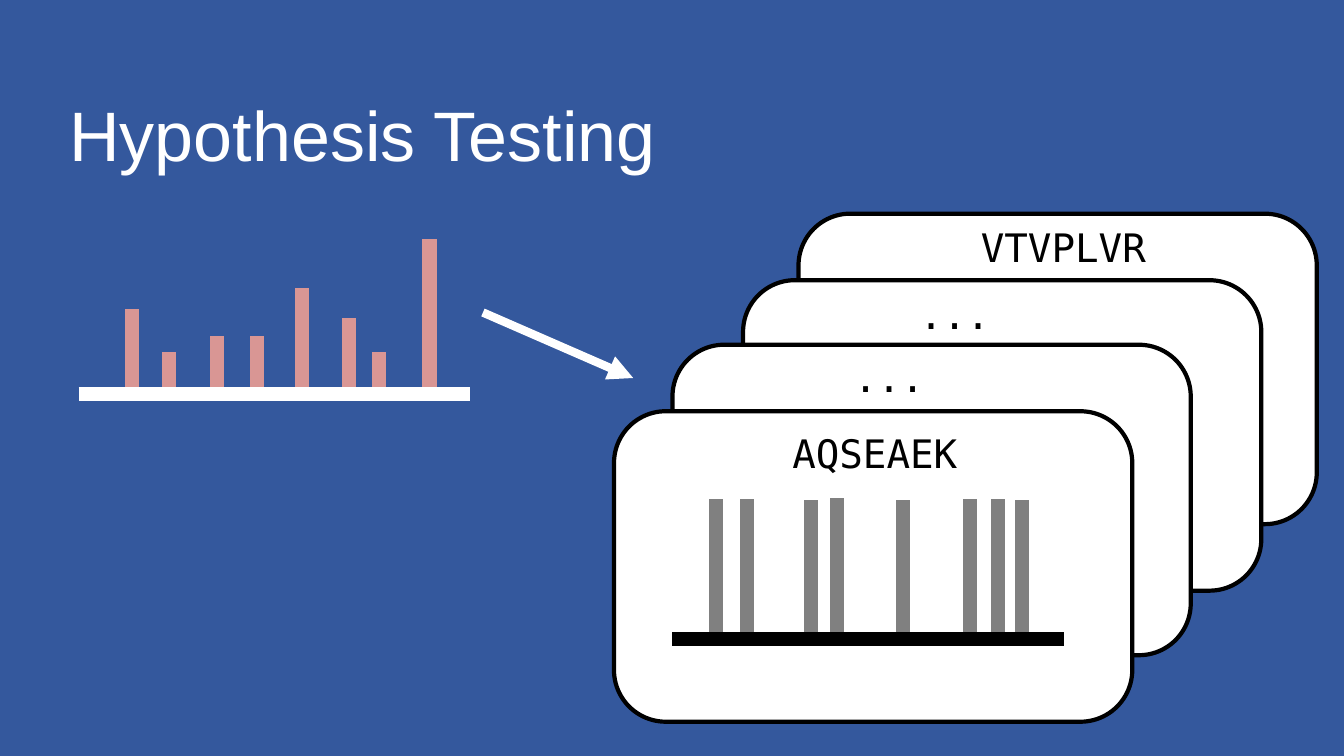
from dataclasses import dataclass

import pptx
import pptx.dml.color
import pptx.enum.shapes
import pptx.enum.text
import pptx.oxml.ns
import pptx.util
from lxml import etree
from pptx.util import Inches


@dataclass(frozen=True)
class Theme:
    background: str = "34589D"
    light: str = "FFFFFF"
    dark: str = "000000"
    observed: str = "D99694"
    predicted: str = "808080"
    title_font: str = "Arial"
    peptide_font: str = "DejaVu Sans Mono"
    title_size: int = 50
    peptide_size: int = 28
    peak_width: int = 10
    arrow_width: int = 6
    card_border: int = 3


THEME = Theme()
CARD_WIDTH, CARD_HEIGHT = 5.14, 3.08

# Candidate peptides, back to front: card left, card top, label left, top, width, text
CARDS = [
    (7.92, 2.12, 9.63, 2.17, 1.85, "VTVPLVR"),
    (7.37, 2.78, 9.02, 2.83, 0.91, "..."),
    (6.67, 3.42, 8.37, 3.46, 0.91, "..."),
    (6.09, 4.08, 7.76, 4.21, 1.85, "AQSEAEK"),
]

# Peaks: x position and top
OBSERVED_PEAKS = [(1.31, 3.07), (1.68, 3.49), (2.15, 3.33), (2.55, 3.33),
                  (3, 2.86), (3.46, 3.15), (3.76, 3.49), (4.26, 2.37)]
PREDICTED_PEAKS = [(7.1, 4.95), (7.41, 4.95), (8.04, 4.96), (8.3, 4.94),
                   (8.96, 4.96), (9.62, 4.95), (9.9, 4.95), (10.14, 4.96)]


def rgb(value):
    return pptx.dml.color.RGBColor.from_string(value)


def add_text(s, left, top, width, height, text, font, size, color):
    sp = s.shapes.add_textbox(Inches(left), Inches(top), Inches(width), Inches(height))
    tf = sp.text_frame
    tf.text = text
    r = tf.paragraphs[0].runs[0]
    r.font.name = font
    r.font.size = pptx.util.Pt(size)
    r.font.color.rgb = rgb(color)
    return tf


def add_title(s, text):
    tf = add_text(s, 0.59, 0.73, 11.5, 1.07, text,
                  THEME.title_font, THEME.title_size, THEME.light)
    tf.word_wrap = True
    tf.vertical_anchor = pptx.enum.text.MSO_ANCHOR.BOTTOM
    tf.paragraphs[0].line_spacing = 0.9


def add_line(s, x1, y1, x2, y2, color, width):
    cn = s.shapes.add_connector(pptx.enum.shapes.MSO_CONNECTOR.STRAIGHT,
                                Inches(x1), Inches(y1), Inches(x2), Inches(y2))
    cn.line.color.rgb = rgb(color)
    cn.line.width = pptx.util.Pt(width)
    etree.SubElement(cn.element.spPr, pptx.oxml.ns.qn("a:effectLst"))
    return cn


def add_arrow(s, x1, y1, x2, y2):
    cn = add_line(s, x1, y1, x2, y2, THEME.light, THEME.arrow_width)
    ln = cn.line._get_or_add_ln()
    etree.SubElement(ln, pptx.oxml.ns.qn("a:tailEnd"), type="triangle")


def add_spectrum(s, peaks, left, right, base, peak_color, axis_color):
    for x, top in peaks:
        add_line(s, x, base, x, top, peak_color, THEME.peak_width)
    add_line(s, left, base, right, base, axis_color, THEME.peak_width)


def add_card(s, left, top, label_left, label_top, label_width, text):
    sp = s.shapes.add_shape(pptx.enum.shapes.MSO_SHAPE.ROUNDED_RECTANGLE,
                            Inches(left), Inches(top),
                            Inches(CARD_WIDTH), Inches(CARD_HEIGHT))
    sp.shadow.inherit = False
    sp.fill.solid()
    sp.fill.fore_color.rgb = rgb(THEME.light)
    sp.line.color.rgb = rgb(THEME.dark)
    sp.line.width = pptx.util.Pt(THEME.card_border)
    tf = add_text(s, label_left, label_top, label_width, 0.57, text,
                  THEME.peptide_font, THEME.peptide_size, THEME.dark)
    tf.word_wrap = False
    tf.auto_size = pptx.enum.text.MSO_AUTO_SIZE.SHAPE_TO_FIT_TEXT


def main():
    prs = pptx.Presentation()
    prs.slide_width, prs.slide_height = Inches(13.33), Inches(7.5)
    s = prs.slides.add_slide(prs.slide_layouts[6])
    s.background.fill.solid()
    s.background.fill.fore_color.rgb = rgb(THEME.background)

    add_title(s, "Hypothesis Testing")

    # Observed spectrum, pointing to the candidates
    add_spectrum(s, OBSERVED_PEAKS, 0.78, 4.66, 3.91, THEME.observed, THEME.light)
    add_arrow(s, 4.79, 3.1, 6.28, 3.75)

    # Stack of candidates, the front one with its predicted spectrum
    for card in CARDS:
        add_card(s, *card)
    add_spectrum(s, PREDICTED_PEAKS, 6.67, 10.55, 6.34, THEME.predicted, THEME.dark)

    prs.save("out.pptx")


if __name__ == "__main__":
    main()
